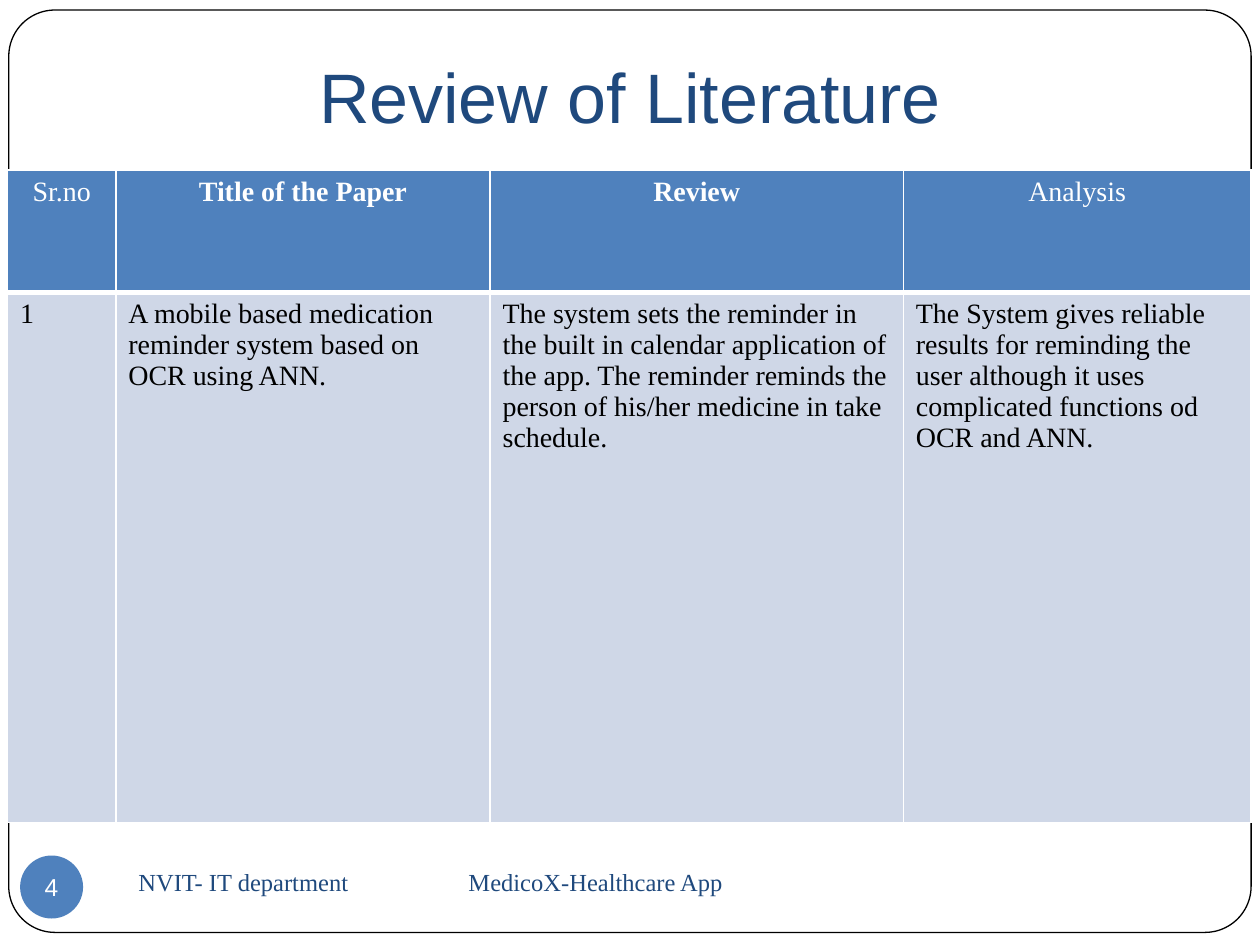
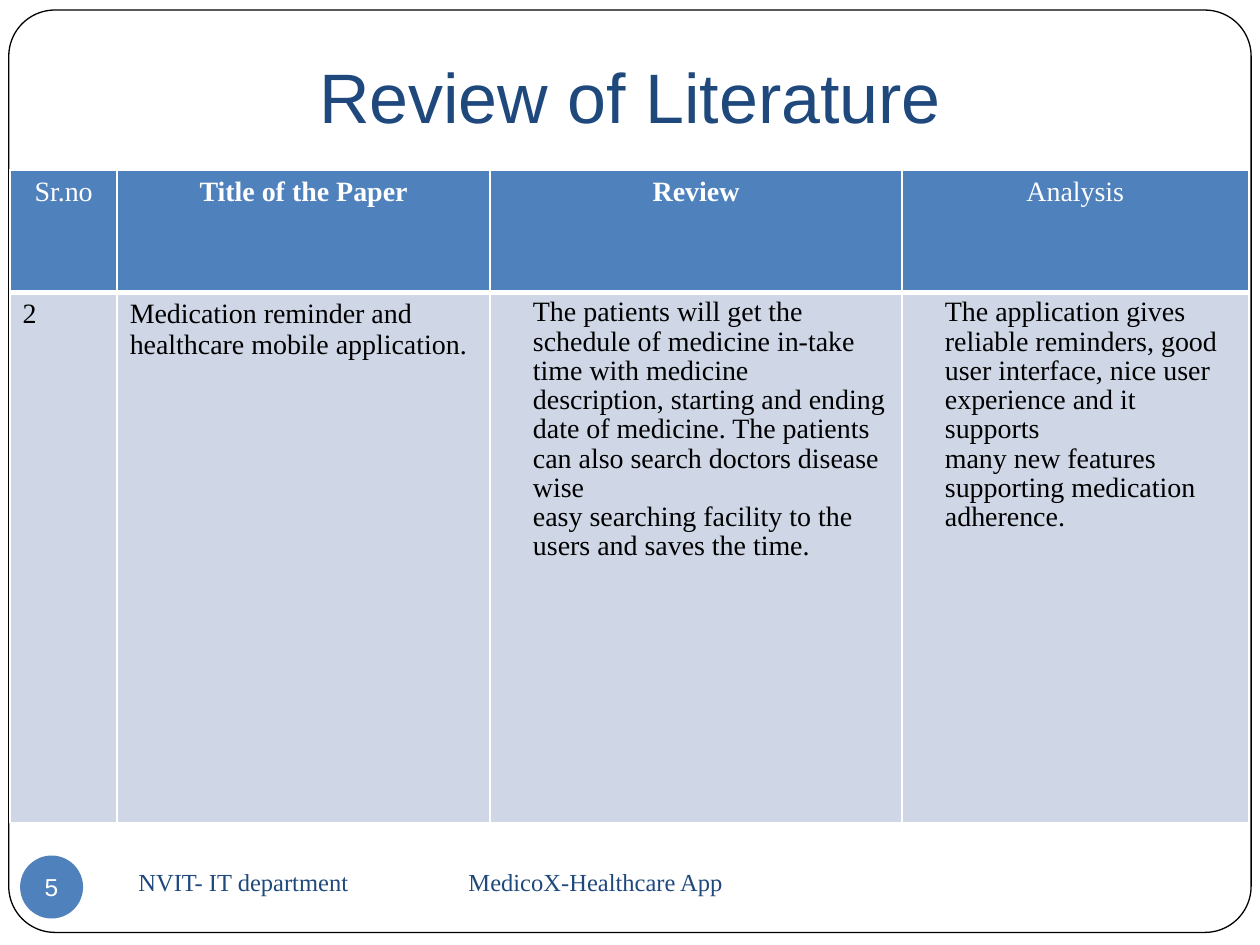
from lxml.etree import SubElement
from pptx import Presentation
from pptx.dml.color import RGBColor
from pptx.enum.shapes import MSO_SHAPE
from pptx.enum.text import MSO_ANCHOR, MSO_AUTO_SIZE, PP_ALIGN
from pptx.oxml import parse_xml
from pptx.oxml.ns import nsdecls, qn
from pptx.util import Inches, Pt

WHITE = RGBColor(0xFF, 0xFF, 0xFF)
BLACK = RGBColor(0x00, 0x00, 0x00)
NAVY = RGBColor(0x1F, 0x49, 0x7D)
BLUE = RGBColor(0x4F, 0x81, 0xBD)
PALE_BLUE = RGBColor(0xCF, 0xD7, 0xE7)

HEADING_FONT = "Arial"
BODY_FONT = "Times New Roman"
TITLE_ONLY_LAYOUT = 5
ROW_HEIGHTS = (0.97, 4.21)
HEADERS = (("Sr.no", False), ("Title of the Paper", True), ("Review", True), ("Analysis", False))

# One entry per reviewed paper; a list of paragraphs is set indented
PAPERS = [
    {
        "page": 4,
        "left": 0.06,
        "columns": (0.86, 2.97, 3.28, 2.76),
        "cells": (
            "1",
            "A mobile based medication reminder system based on OCR using ANN.",
            "The system sets the reminder in the built in calendar application of the app. "
            "The reminder reminds the person of his/her medicine in take schedule.",
            "The System gives reliable results for reminding the user although it uses "
            "complicated functions od OCR and ANN.",
        ),
    },
    {
        "page": 5,
        "left": 0.08,
        "columns": (0.85, 2.96, 3.27, 2.75),
        "cells": (
            "2",
            "Medication reminder and healthcare mobile application.",
            [
                "The patients will get the schedule of medicine in-take time with medicine",
                "description, starting and ending date of medicine. The patients can also "
                "search doctors disease wise",
                "easy searching facility to the",
                "users and saves the time.",
            ],
            [
                "The application gives reliable reminders, good user interface, nice user "
                "experience and it supports",
                "many new features supporting medication adherence.",
            ],
        ),
    },
]


class ReviewDeck:
    def __init__(self):
        self.presentation = Presentation()
        self.presentation.slide_width = Inches(10)
        self.presentation.slide_height = Inches(7.5)
        self.slide = None

    def add_slide(self, title):
        layout = self.presentation.slide_layouts[TITLE_ONLY_LAYOUT]
        self.slide = self.presentation.slides.add_slide(layout)
        self.add_frame()
        self.set_title(title)

    def format_paragraph(self, paragraph, size, color, font=BODY_FONT, bold=False,
                         align=PP_ALIGN.LEFT):
        paragraph.alignment = align
        for run in paragraph.runs:
            run.font.name = font
            run.font.size = Pt(size)
            run.font.bold = bold
            run.font.color.rgb = color

    def add_shape(self, kind, left, top, width, height, fill):
        shape = self.slide.shapes.add_shape(
            kind, Inches(left), Inches(top), Inches(width), Inches(height))
        shape.shadow.inherit = False
        shape.fill.solid()
        shape.fill.fore_color.rgb = fill
        return shape

    def add_frame(self):
        frame = self.add_shape(MSO_SHAPE.ROUNDED_RECTANGLE, 0.07, 0.08, 9.86, 7.32, WHITE)
        frame.adjustments[0] = 0.05
        frame.line.color.rgb = BLACK
        frame.line.width = Pt(0.75)
        # Keep the frame behind the title
        self.slide.shapes.title.element.addprevious(frame.element)

    def set_title(self, text):
        title = self.slide.shapes.title
        title.left, title.top = Inches(0), Inches(0.25)
        title.width, title.height = Inches(10), Inches(0.94)
        text_frame = title.text_frame
        text_frame.text = text
        text_frame.auto_size = MSO_AUTO_SIZE.NONE
        text_frame.vertical_anchor = MSO_ANCHOR.BOTTOM
        text_frame.margin_bottom = Inches(0.1)
        self.format_paragraph(text_frame.paragraphs[0], 40, NAVY, HEADING_FONT,
                              align=PP_ALIGN.CENTER)

    def add_page_number(self, number):
        badge = self.add_shape(MSO_SHAPE.OVAL, 0.16, 6.79, 0.5, 0.5, BLUE)
        badge.line.fill.background()
        text_frame = badge.text_frame
        text_frame.margin_left = text_frame.margin_right = 0
        text_frame.margin_top = text_frame.margin_bottom = 0
        text_frame.vertical_anchor = MSO_ANCHOR.MIDDLE
        text_frame.text = str(number)
        self.format_paragraph(text_frame.paragraphs[0], 14, WHITE, HEADING_FONT,
                              align=PP_ALIGN.CENTER)

    def add_footer(self, department, project):
        footer = self.slide.shapes.add_textbox(
            Inches(1), Inches(6.75), Inches(6.56), Inches(0.5))
        text_frame = footer.text_frame
        text_frame.word_wrap = True
        text_frame.vertical_anchor = MSO_ANCHOR.MIDDLE
        text_frame.text = f"{department}\t{project}"
        paragraph = text_frame.paragraphs[0]
        self.format_paragraph(paragraph, 14, NAVY)
        # A tab stop sets the project name apart
        tab_list = SubElement(paragraph._p.get_or_add_pPr(), qn("a:tabLst"))
        SubElement(tab_list, qn("a:tab"), pos=str(Inches(2.62)), algn="l")

    def set_borders(self, cell, top, bottom):
        properties = cell._tc.get_or_add_tcPr()
        sides = (("lnL", 1), ("lnR", 1), ("lnT", top), ("lnB", bottom))
        for position, (side, width) in enumerate(sides):
            properties.insert(position, parse_xml(
                f'<a:{side} {nsdecls("a")} w="{Pt(width)}"><a:solidFill>'
                f'<a:srgbClr val="{WHITE}"/></a:solidFill></a:{side}>'))

    def fill_cell(self, cell, text, fill, color, bold=False, align=PP_ALIGN.LEFT):
        indented = isinstance(text, list)
        cell.text_frame.text = "\n".join(text) if indented else text
        cell.fill.solid()
        cell.fill.fore_color.rgb = fill
        for paragraph in cell.text_frame.paragraphs:
            self.format_paragraph(paragraph, 16, color, bold=bold, align=align)
            if indented:
                paragraph.line_spacing = 0.94
                paragraph._p.get_or_add_pPr().set("marL", str(Inches(0.24)))

    def add_review_table(self, left, columns, cells):
        table = self.slide.shapes.add_table(
            len(ROW_HEIGHTS), len(columns), Inches(left), Inches(1.35),
            Inches(sum(columns)), Inches(sum(ROW_HEIGHTS))).table
        for row, height in zip(table.rows, ROW_HEIGHTS):
            row.height = Inches(height)
        for index, width in enumerate(columns):
            table.columns[index].width = Inches(width)
            header, bold = HEADERS[index]
            header_cell, body_cell = table.cell(0, index), table.cell(1, index)
            self.fill_cell(header_cell, header, BLUE, WHITE, bold, PP_ALIGN.CENTER)
            self.set_borders(header_cell, top=1, bottom=3)
            self.fill_cell(body_cell, cells[index], PALE_BLUE, BLACK)
            self.set_borders(body_cell, top=3, bottom=1)


def main():
    deck = ReviewDeck()
    for paper in PAPERS:
        deck.add_slide("Review of Literature")
        deck.add_page_number(paper["page"])
        deck.add_review_table(paper["left"], paper["columns"], paper["cells"])
        deck.add_footer("NVIT- IT department", "MedicoX-Healthcare App")
    deck.presentation.save("out.pptx")


if __name__ == "__main__":
    main()
